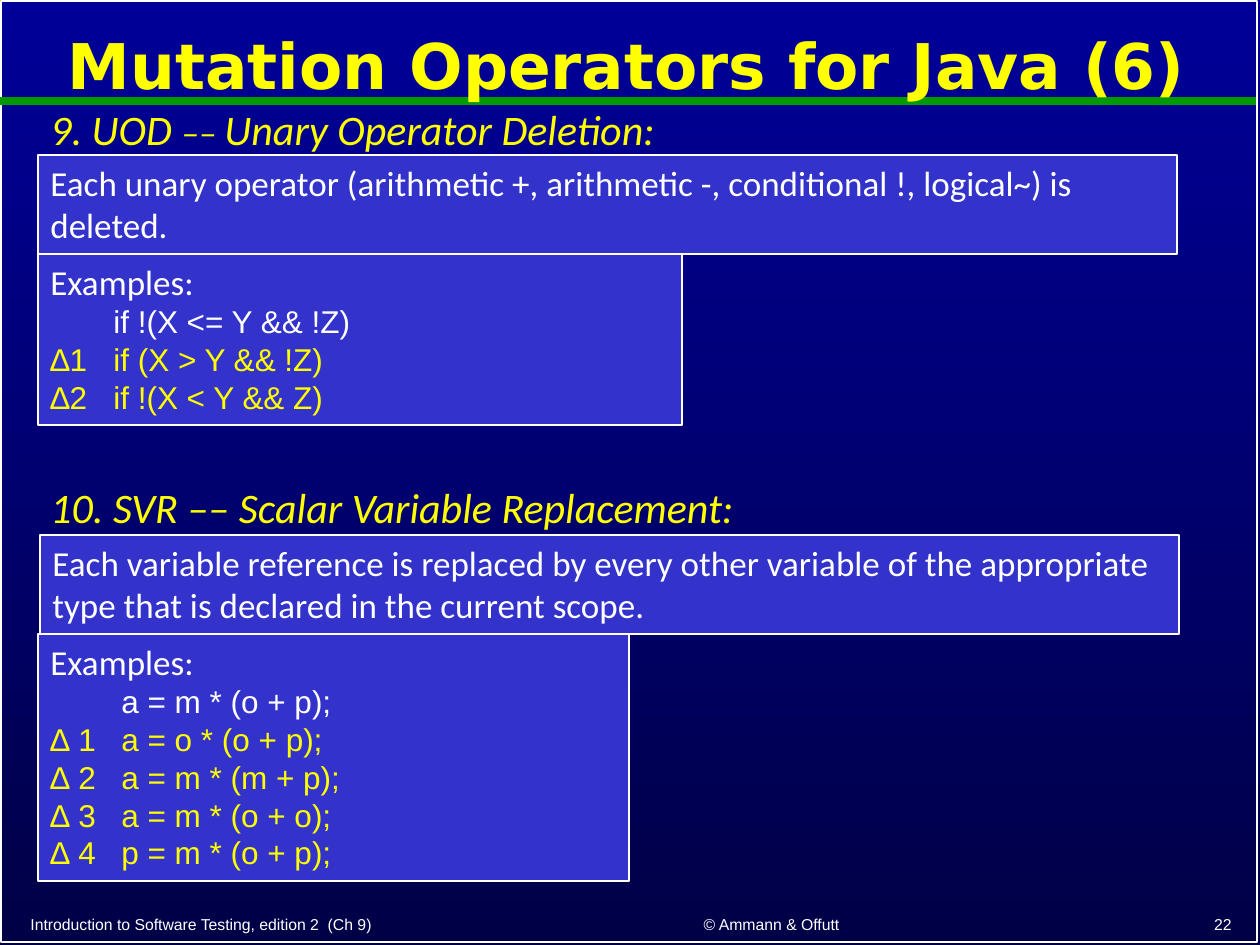
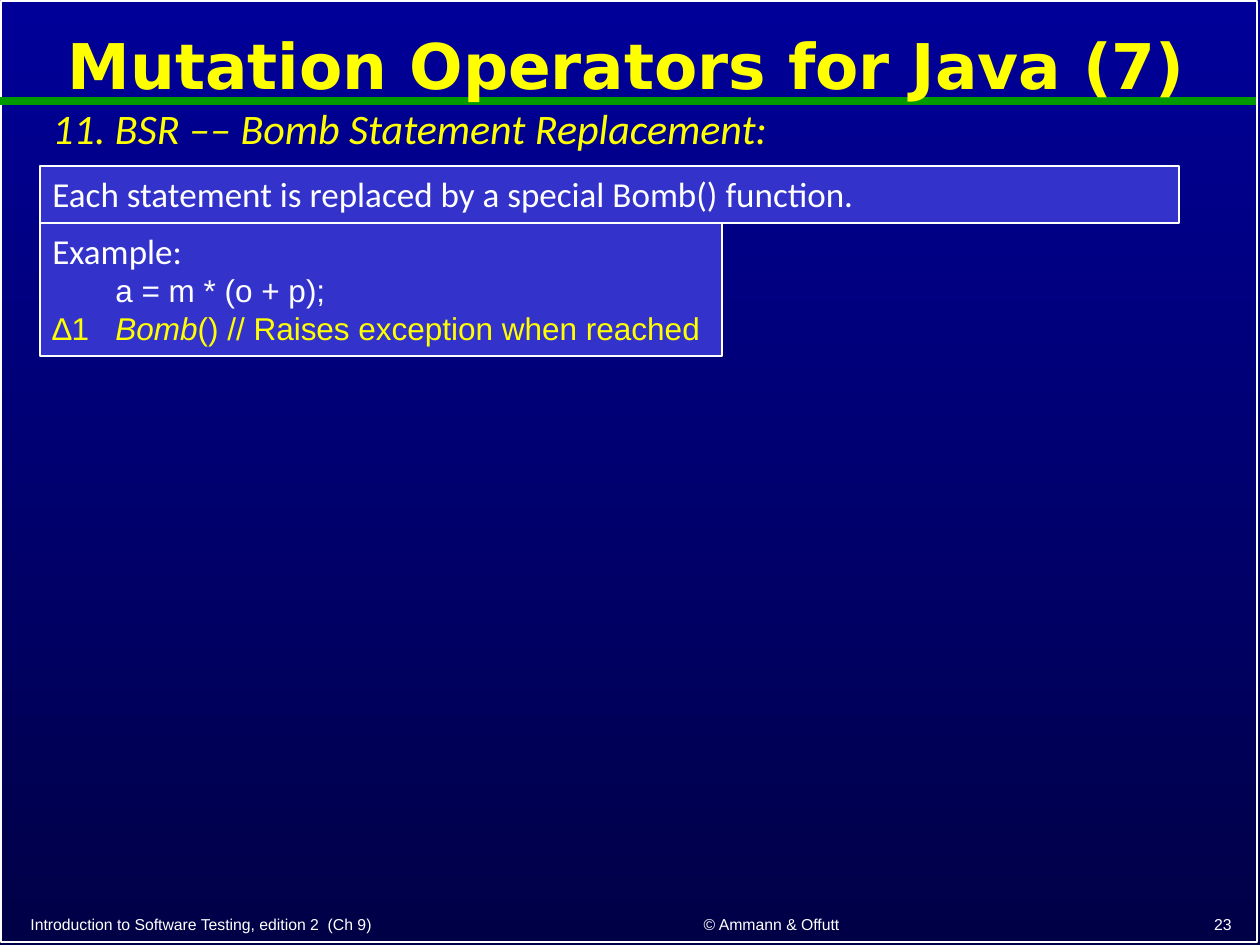
from pptx import Presentation, util as u
from pptx.dml.color import RGBColor
from pptx.enum import shapes, text
from lxml import etree

YELLOW = RGBColor(0xFF, 0xFF, 0x00)
DASH_YELLOW = RGBColor(0xFA, 0xFD, 0x00)
WHITE = RGBColor(0xFF, 0xFF, 0xFF)
GREEN = RGBColor(0x00, 0x99, 0x00)
BOX_BLUE = RGBColor(0x33, 0x33, 0xCC)
TOP_BLUE = RGBColor(0x00, 0x00, 0x99)
BOTTOM_BLUE = RGBColor(0x00, 0x00, 0x47)

BODY, CODE, DISPLAY = "Calibri", "Arial", "DejaVu Sans"
BOX_W, PAD = 1139, 15
RULE_LINE, CODE_LINE = 42, 38

FOOTERS = [
    ("Introduction to Software Testing, edition 2  (Ch 9)", (18, 905, 537, 35), text.PP_ALIGN.LEFT),
    ("© Ammann & Offutt", (572, 904, 399, 36), text.PP_ALIGN.CENTER),
    ("{number}", (993, 904, 251, 36), text.PP_ALIGN.RIGHT),
]

SLIDES = [
    {"title": "Mutation Operators for Java (6)", "number": 22, "operators": [
        {"code": "9. UOD", "name": "Unary Operator Deletion:", "dash_size": 20,
         "heading_at": (38, 97), "rule_at": (38, 155), "rule_lines": 2,
         "rule": "Each unary operator (arithmetic +, arithmetic -, conditional !, logical~) is deleted.",
         "label": "Examples:", "example_x": 38, "example_w": 644, "indent": 63,
         "source": "if !(X <= Y && !Z)",
         "mutants": [("∆1", "", "if (X > Y && !Z)"), ("∆2", "", "if !(X < Y && Z)")]},
        {"code": "10. SVR", "name": "Scalar Variable Replacement:", "dash_size": 24,
         "heading_at": (38, 475), "rule_at": (40, 535), "rule_lines": 2,
         "rule": "Each variable reference is replaced by every other variable "
                 "of the appropriate type that is declared in the current scope.",
         "label": "Examples:", "example_x": 38, "example_w": 591, "indent": 71,
         "source": "a = m * (o + p);",
         "mutants": [("∆ 1", "", "a = o * (o + p);"), ("∆ 2", "", "a = m * (m + p);"),
                     ("∆ 3", "", "a = m * (o + o);"), ("∆ 4", "", "p = m * (o + p);")]},
    ]},
    {"title": "Mutation Operators for Java (7)", "number": 23, "operators": [
        {"code": "11. BSR", "name": "Bomb Statement Replacement:", "dash_size": 24,
         "heading_at": (40, 96), "rule_at": (40, 166), "rule_lines": 1,
         "rule": "Each statement is replaced by a special Bomb() function.",
         "label": "Example:", "example_x": 40, "example_w": 682, "indent": 63,
         "source": "a = m * (o + p);",
         "mutants": [("∆1", "Bomb", "() // Raises exception when reached")]},
    ]},
]


def px(n):
    return u.Inches(n / 126)


def add_run(p, words, size=20, font=BODY, color=WHITE, bold=False, italic=False):
    r = p.add_run()
    r.text = words
    f = r.font
    f.size, f.name, f.bold, f.italic = u.Pt(size), font, bold, italic
    f.color.rgb = color


def add_text_box(s, at, anchor=text.MSO_ANCHOR.TOP, wrap=True):
    tf = s.shapes.add_textbox(*map(px, at)).text_frame
    tf.word_wrap = wrap
    tf.vertical_anchor = anchor
    return tf


def add_box(s, at, fill=None, width=1.5):
    sp = s.shapes.add_shape(shapes.MSO_SHAPE.RECTANGLE, *map(px, at))
    sp.shadow.inherit = False
    if fill is None:
        sp.fill.background()
    else:
        sp.fill.solid()
        sp.fill.fore_color.rgb = fill
    sp.line.color.rgb = WHITE
    sp.line.width = u.Pt(width)
    tf = sp.text_frame
    tf.word_wrap = True
    tf.vertical_anchor = text.MSO_ANCHOR.TOP
    tf.paragraphs[0].alignment = text.PP_ALIGN.LEFT
    return tf


def add_code_line(tf, indent, hanging=0):
    p = tf.add_paragraph()
    p.alignment = text.PP_ALIGN.LEFT
    pr = p._p.get_or_add_pPr()
    pr.set("marL", str(px(indent)))
    pr.set("indent", str(-px(hanging)))
    return p


def add_frame(s, title, number):
    fill = s.background.fill
    fill.gradient()
    fill.gradient_angle = 270
    for stop, color in zip(fill.gradient_stops, (TOP_BLUE, BOTTOM_BLUE)):
        stop.color.rgb = color
    add_box(s, (1, 1, 1256, 941), width=1)

    line = s.shapes.add_connector(shapes.MSO_CONNECTOR.STRAIGHT, px(0), px(101), px(1256), px(101))
    line.line.color.rgb = GREEN
    line.line.width = u.Pt(4.5)
    sp_pr = line._element.spPr
    etree.SubElement(sp_pr, "{%s}effectLst" % sp_pr.nsmap["a"])

    for words, at, align in FOOTERS:
        p = add_text_box(s, at, text.MSO_ANCHOR.BOTTOM, wrap=False).paragraphs[0]
        p.alignment = align
        add_run(p, words.format(number=number), size=9, font=CODE)

    p = add_text_box(s, (1, 14, 1251, 111), text.MSO_ANCHOR.MIDDLE).paragraphs[0]
    p.alignment = text.PP_ALIGN.CENTER
    p.line_spacing = 0.9
    add_run(p, title, size=36, font=DISPLAY, color=YELLOW, bold=True)


def add_operator(s, op):
    p = add_text_box(s, (*op["heading_at"], BOX_W, 63)).paragraphs[0]
    add_run(p, op["code"] + " ", size=24, color=YELLOW, italic=True)
    add_run(p, "–– ", size=op["dash_size"], color=DASH_YELLOW, italic=True)
    add_run(p, op["name"], size=24, color=YELLOW, italic=True)

    x, y = op["rule_at"]
    rule_h = PAD + RULE_LINE * op["rule_lines"]
    add_run(add_box(s, (x, y, BOX_W, rule_h), BOX_BLUE).paragraphs[0], op["rule"])

    example_h = PAD + RULE_LINE + CODE_LINE * (1 + len(op["mutants"]))
    tf = add_box(s, (op["example_x"], y + rule_h, op["example_w"], example_h), BOX_BLUE)
    add_run(tf.paragraphs[0], op["label"])
    add_run(add_code_line(tf, op["indent"]), op["source"], size=18, font=CODE)
    for mark, call, rest in op["mutants"]:
        p = add_code_line(tf, op["indent"], hanging=op["indent"])
        add_run(p, mark + "\t", size=18, font=CODE, color=YELLOW)
        if call:
            add_run(p, call, size=18, font=CODE, color=YELLOW, italic=True)
        add_run(p, rest, size=18, font=CODE, color=YELLOW)


def main():
    prs = Presentation()
    prs.slide_width, prs.slide_height = px(1260), px(945)
    for slide in SLIDES:
        s = prs.slides.add_slide(prs.slide_layouts[6])
        add_frame(s, slide["title"], slide["number"])
        for op in slide["operators"]:
            add_operator(s, op)
    prs.save("out.pptx")


if __name__ == "__main__":
    main()
